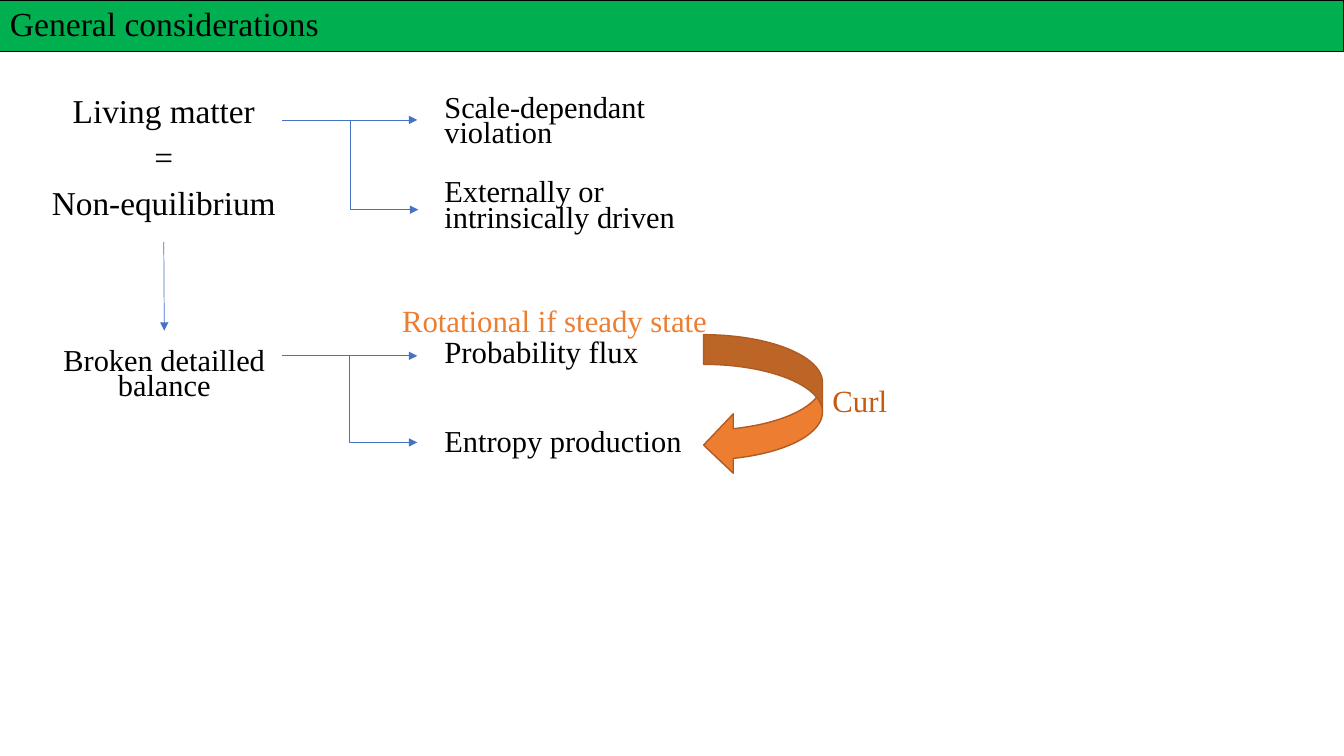
from lxml import etree
from pptx import Presentation, util as u
from pptx.dml.color import RGBColor
from pptx.enum import shapes, text
from pptx.oxml.ns import qn

COLORS = {"banner": "00B050", "ink": "000000", "link": "4472C4",
          "accent": "ED7D31", "edge": "AF5C24", "curl": "C55A11"}
COLUMNS, ROWS = 160, 90


def write(frame, content, size=21.7, color="ink", align="LEFT", anchor="TOP",
          spacing=0.7, before=10):
    """Fill a text frame with one paragraph per line of content."""
    frame.word_wrap = True
    frame.vertical_anchor = getattr(text.MSO_ANCHOR, anchor)
    for index, line in enumerate(content.split("\n")):
        paragraph = frame.add_paragraph() if index else frame.paragraphs[0]
        paragraph.alignment = getattr(text.PP_ALIGN, align)
        paragraph.line_spacing = spacing
        paragraph.space_before = u.Pt(before)
        run = paragraph.add_run()
        run.text = line
        run.font.name = "Times New Roman"
        run.font.size = u.Pt(size)
        run.font.color.rgb = RGBColor.from_string(COLORS[color])


class Board:
    """Draws styled elements on a grid of 160 columns by 90 rows."""

    def __init__(self, deck):
        self.slide = deck.slides.add_slide(deck.slide_layouts[6])
        self.column = deck.slide_width / COLUMNS
        self.row = deck.slide_height / ROWS

    def place(self, *pairs):
        """Turn alternating columns and rows into lengths."""
        return [u.Emu(round(value * (self.row if index % 2 else self.column)))
                for index, value in enumerate(pairs)]

    def shape(self, kind, box, fill, line, width):
        """Add a filled and outlined preset shape."""
        shape = self.slide.shapes.add_shape(kind, *self.place(*box))
        shape.shadow.inherit = False
        shape.fill.solid()
        shape.fill.fore_color.rgb = RGBColor.from_string(COLORS[fill])
        shape.line.color.rgb = RGBColor.from_string(COLORS[line])
        shape.line.width = u.Pt(width)
        return shape

    def label(self, box, content, **style):
        """Add a wrapped text box."""
        label = self.slide.shapes.add_textbox(*self.place(*box))
        write(label.text_frame, content, **style)
        return label

    def arrow(self, start, end, kind=shapes.MSO_CONNECTOR.STRAIGHT):
        """Add a thin connector with a triangle at its end."""
        arrow = self.slide.shapes.add_connector(kind, *self.place(*start, *end))
        arrow.line.color.rgb = RGBColor.from_string(COLORS["link"])
        arrow.line.width = u.Pt(0.5)
        etree.SubElement(arrow.line._get_or_add_ln(), qn("a:tailEnd"), type="triangle")
        etree.SubElement(arrow._element.spPr, qn("a:effectLst"))
        return arrow

    def fork(self, start, upper, lower):
        """Branch from one point to an upper and a lower target."""
        self.arrow(start, upper)
        self.arrow(start, lower, shapes.MSO_CONNECTOR.ELBOW)


def main():
    """Build and save the slide."""
    deck = Presentation()
    deck.slide_width, deck.slide_height = u.Inches(13.33), u.Inches(7.5)
    board = Board(deck)
    consequences = 51.72

    title = board.shape(shapes.MSO_SHAPE.RECTANGLE, (0, 0, COLUMNS, 6.12),
                        "banner", "ink", 0.75)
    write(title.text_frame, "General considerations", size=24, anchor="MIDDLE",
          spacing=0.9, before=0)

    living_matter = board.label((4.08, 11.04, 30.84, 17.76),
                                "Living matter\n=\nNon-equilibrium",
                                size=23.8, align="CENTER", spacing=0.8)
    board.label((consequences, 11.04, 30.84, 7.8), "Scale-dependant violation")
    board.label((consequences, 21.12, 30.84, 7.8), "Externally or intrinsically driven")
    board.fork((33.6, 14.28), (49.68, 14.28), (49.8, 24.96))

    breaking = board.arrow((19.56, 28.92), (19.56, 39.36))
    breaking.begin_connect(living_matter, 2)
    board.label((2.52, 41.16, 34.08, 7.8), "Broken detailled balance", align="CENTER")
    board.fork((33.6, 42.36), (49.68, 42.36), (49.68, 52.68))

    board.label((consequences, 50.88, 33.6, 7.8), "Entropy production")
    board.shape(shapes.MSO_SHAPE.CURVED_LEFT_ARROW, (83.76, 39.84, 14.16, 16.68),
                "accent", "edge", 1)
    for left, top, content, color in (
            (consequences, 39.84, "Probability flux", "ink"),
            (97.92, 45.72, "Curl", "curl"),
            (46.68, 36.24, "Rotational if steady state", "accent")):
        board.label((left, top, 40.92, 5.16), content, size=22, color=color, spacing=0.8)

    deck.save("out.pptx")


if __name__ == "__main__":
    main()
